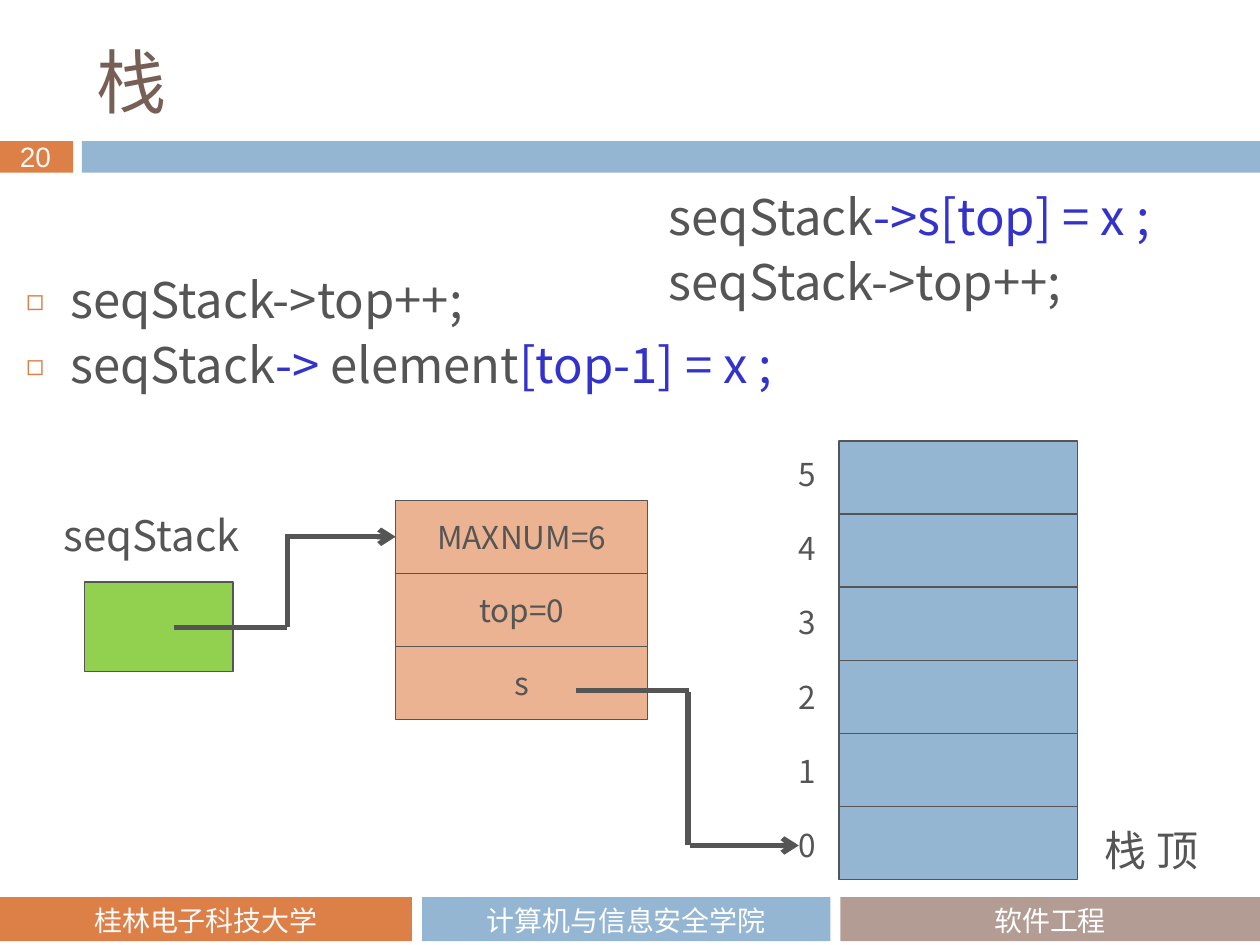
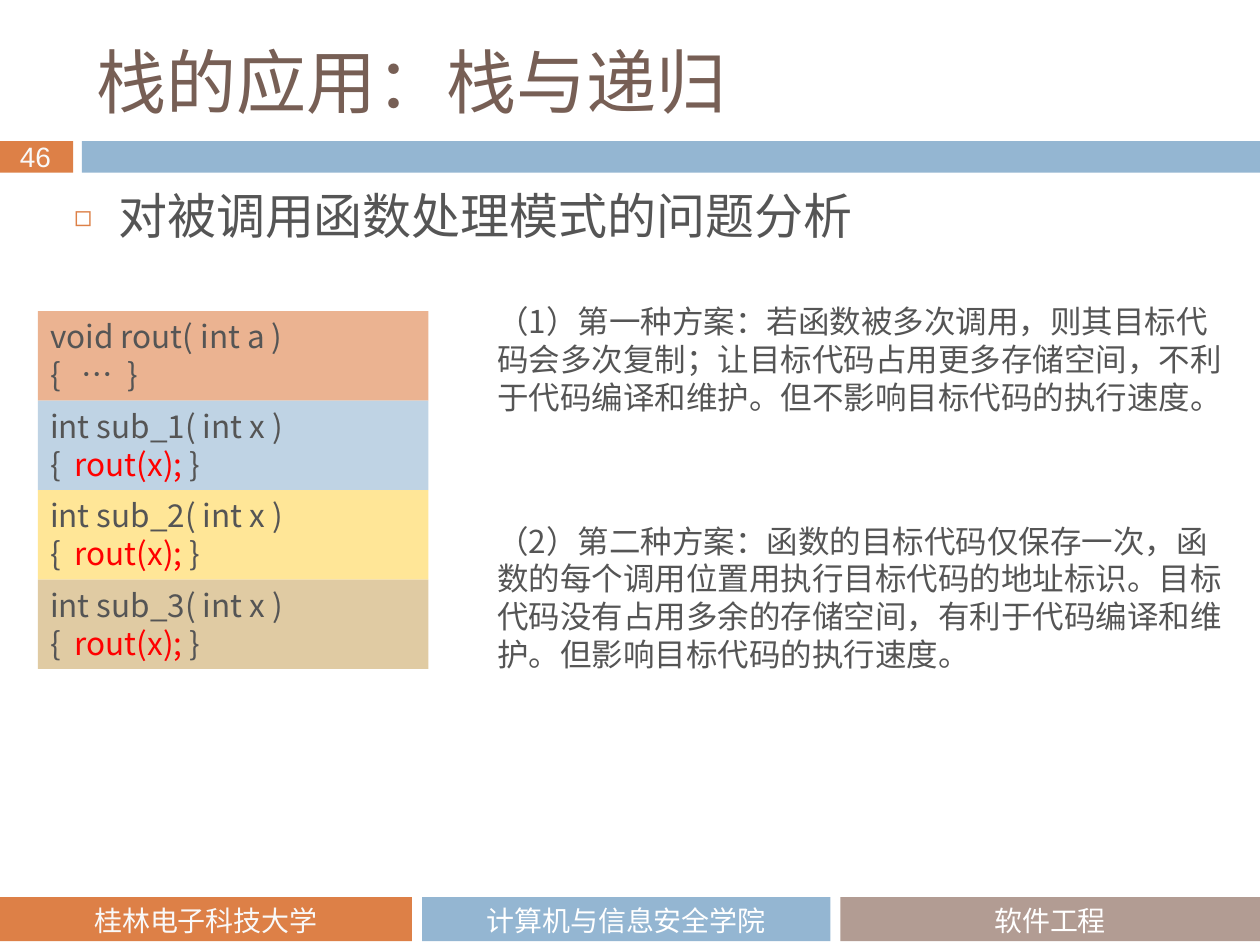
from dataclasses import dataclass
from typing import NamedTuple, Optional

from lxml.etree import SubElement
from pptx import Presentation
from pptx.dml.color import RGBColor
from pptx.enum.shapes import MSO_CONNECTOR, MSO_SHAPE
from pptx.enum.text import MSO_ANCHOR, PP_ALIGN
from pptx.oxml.ns import qn
from pptx.util import Inches, Pt

ORANGE = RGBColor(0xDD, 0x80, 0x47)
BLUE = RGBColor(0x94, 0xB6, 0xD2)
TAUPE = RGBColor(0xB2, 0x9C, 0x93)
BROWN = RGBColor(0x77, 0x5F, 0x55)
GRAY = RGBColor(0x55, 0x55, 0x55)
WHITE = RGBColor(0xFF, 0xFF, 0xFF)
OFF_WHITE = RGBColor(0xF9, 0xF9, 0xF9)
PEACH = RGBColor(0xEB, 0xB3, 0x91)
GREEN = RGBColor(0x92, 0xD0, 0x50)
PALE_BLUE = RGBColor(0xBF, 0xD3, 0xE4)
YELLOW = RGBColor(0xFF, 0xE6, 0x97)
SAND = RGBColor(0xE0, 0xCB, 0xA3)
CODE_BLUE = RGBColor(0x33, 0x33, 0xCC)
RED = RGBColor(0xFF, 0x00, 0x00)

BODY_FONT = "Noto Sans CJK SC"
TITLE_FONT = "Noto Sans CJK JP"


class Area(NamedTuple):
    left: float
    top: float
    width: float
    height: float

    def lengths(self) -> list:
        return [Inches(value) for value in self]


class Span(NamedTuple):
    text: str
    color: RGBColor = GRAY


@dataclass(frozen=True)
class Style:
    size: float = 18
    font: str = BODY_FONT
    line_points: Optional[float] = None
    space_before: float = 0
    align: PP_ALIGN = PP_ALIGN.LEFT
    anchor: MSO_ANCHOR = MSO_ANCHOR.TOP
    bullet: bool = False


class FooterBand(NamedTuple):
    left: float
    width: float
    fill: RGBColor
    text: Span


class Segment(NamedTuple):
    start: tuple
    end: tuple
    arrow: bool = False


class CodeBlock(NamedTuple):
    fill: RGBColor
    lines: list


PLAIN = Style()
CELL = Style(align=PP_ALIGN.CENTER, anchor=MSO_ANCHOR.MIDDLE)
TITLE = Style(size=40, font=TITLE_FONT, anchor=MSO_ANCHOR.MIDDLE)
FOOTER = Style(size=16, font="Calibri", align=PP_ALIGN.CENTER)
PAGE_NUMBER = Style(size=16, font="Arial")
CAPTION = Style(size=24, line_points=30, space_before=7)
STATEMENT = Style(size=28, line_points=30, space_before=7)
BULLET = Style(size=28, line_points=30, space_before=7, bullet=True)

FOOTER_BANDS = [
    FooterBand(0, 3.27, ORANGE, Span("桂林电子科技大学", OFF_WHITE)),
    FooterBand(3.35, 3.24, BLUE, Span("计算机与信息安全学院", WHITE)),
    FooterBand(6.67, 3.33, TAUPE, Span("软件工程", WHITE)),
]


def add_bullet(paragraph) -> None:
    properties = paragraph._p.get_or_add_pPr()
    properties.set("marL", str(Inches(0.35)))
    properties.set("indent", str(-Inches(0.35)))
    color = SubElement(properties, qn("a:buClr"))
    SubElement(color, qn("a:srgbClr")).set("val", str(ORANGE))
    SubElement(properties, qn("a:buSzPct")).set("val", "60000")
    SubElement(properties, qn("a:buFont")).set("typeface", BODY_FONT)
    SubElement(properties, qn("a:buChar")).set("char", "◻")


def write(shape, lines: list, style: Style) -> None:
    """Fill a shape with one paragraph per list of spans."""
    frame = shape.text_frame
    frame.word_wrap = True
    frame.vertical_anchor = style.anchor
    for index, spans in enumerate(lines):
        paragraph = frame.add_paragraph() if index else frame.paragraphs[0]
        if style.bullet:
            add_bullet(paragraph)
        paragraph.alignment = style.align
        paragraph.line_spacing = Pt(style.line_points or style.size * 1.2)
        if index:
            paragraph.space_before = Pt(style.space_before)
        for span in spans:
            run = paragraph.add_run()
            run.text = span.text
            run.font.size = Pt(style.size)
            run.font.name = style.font
            run.font.color.rgb = span.color
            if style.font in (BODY_FONT, TITLE_FONT):
                east_asian = SubElement(run._r.get_or_add_rPr(), qn("a:ea"))
                east_asian.set("typeface", style.font)


def add_text(slide, area: Area, lines: list, style: Style = PLAIN):
    box = slide.shapes.add_textbox(*area.lengths())
    write(box, lines, style)
    return box


def add_rectangle(slide, area: Area, fill: RGBColor, outlined: bool = False):
    shape = slide.shapes.add_shape(MSO_SHAPE.RECTANGLE, *area.lengths())
    shape.shadow.inherit = False
    shape.fill.solid()
    shape.fill.fore_color.rgb = fill
    if outlined:
        shape.line.color.rgb = GRAY
        shape.line.width = Pt(0.75)
    else:
        shape.line.fill.background()
    return shape


def add_segment(slide, segment: Segment):
    ends = [Inches(value) for value in segment.start + segment.end]
    connector = slide.shapes.add_connector(MSO_CONNECTOR.STRAIGHT, *ends)
    connector.line.color.rgb = GRAY
    connector.line.width = Pt(3)
    if segment.arrow:
        line = connector.line._get_or_add_ln()
        SubElement(line, qn("a:tailEnd")).set("type", "arrow")
    SubElement(connector._element.spPr, qn("a:effectLst"))
    return connector


def add_base_slide(presentation, title: str, number: int):
    """Title, header bands, page number and footer shared by the slides."""
    slide = presentation.slides.add_slide(presentation.slide_layouts[6])
    add_rectangle(slide, Area(0, 1.12, 0.58, 0.25), ORANGE)
    add_rectangle(slide, Area(0.65, 1.12, 9.35, 0.25), BLUE)
    for band in FOOTER_BANDS:
        add_rectangle(slide, Area(band.left, 7.12, band.width, 0.35), band.fill)
        add_text(slide, Area(band.left, 7.12, band.width, 0.32), [[band.text]], FOOTER)
    add_text(slide, Area(0.06, 1.06, 0.48, 0.37),
             [[Span(str(number), OFF_WHITE)]], PAGE_NUMBER)
    add_text(slide, Area(0.67, 0.25, 8.92, 0.78), [[Span(title, BROWN)]], TITLE)
    return slide


def build_stack_slide(presentation) -> None:
    slide = add_base_slide(presentation, "栈", 20)
    cell_height = 0.58

    # Stack storage, highest index on top
    for row in range(6):
        add_rectangle(slide, Area(6.66, 3.5 + row * cell_height, 1.89, cell_height),
                      BLUE, outlined=True)
        add_text(slide, Area(6.24, 3.56 + row * 0.59, 0.36, 0.4), [[Span(str(5 - row))]])
    add_text(slide, Area(8.67, 6.48, 1.24, 0.52), [[Span("栈 顶")]], CAPTION)

    # Fields of the stack structure
    fields = []
    for row, field in enumerate(["MAXNUM=6", "top=0", "s"]):
        area = Area(3.14, 3.97 + row * cell_height, 2, cell_height)
        shape = add_rectangle(slide, area, PEACH, outlined=True)
        write(shape, [[Span(field)]], CELL)
        fields.append(shape)

    # Pointer variable
    add_rectangle(slide, Area(0.67, 4.62, 1.18, 0.71), GREEN, outlined=True)
    add_text(slide, Area(0.41, 3.98, 1.7, 0.52), [[Span("seqStack")]], CAPTION)

    # Bent arrows: pointer to structure, field s to cell 0
    pointer_path = [
        Segment((1.38, 4.98), (2.28, 4.98)),
        Segment((2.28, 4.98), (2.28, 4.24)),
        Segment((2.28, 4.26), (3.14, 4.26), arrow=True),
    ]
    storage_path = [
        Segment((4.57, 5.48), (5.47, 5.48)),
        Segment((5.46, 6.71), (5.46, 5.49)),
        Segment((5.48, 6.71), (6.34, 6.71), arrow=True),
    ]
    pointer_lines = [add_segment(slide, segment) for segment in pointer_path]
    pointer_lines[-1].end_connect(fields[0], 1)
    for segment in storage_path:
        add_segment(slide, segment)

    # Two equivalent ways to push
    add_text(slide, Area(0.11, 2.14, 6.62, 1.17), [
        [Span("seqStack->top++;")],
        [Span("seqStack"), Span("->", CODE_BLUE), Span(" element"),
         Span("[top-1] = x ;", CODE_BLUE)],
    ], BULLET)
    add_text(slide, Area(5.21, 1.48, 4.41, 1.94), [
        [Span("seqStack"), Span("->s[top] = x ;", CODE_BLUE)],
        [Span("seqStack->top++;")],
    ], STATEMENT)


def build_recursion_slide(presentation) -> None:
    slide = add_base_slide(presentation, "栈的应用：栈与递归", 46)
    add_text(slide, Area(0.49, 1.47, 8.92, 0.65),
             [[Span("对被调用函数处理模式的问题分析")]], BULLET)

    # Called function, then its three callers
    call = [Span("{"), Span("  rout(x); ", RED), Span("}")]
    blocks = [CodeBlock(PEACH, [[Span("void rout( int a )")], [Span("{   …  }")]])]
    for number, fill in enumerate([PALE_BLUE, YELLOW, SAND], start=1):
        blocks.append(CodeBlock(fill, [[Span(f"int sub_{number}( int x )")], call]))
    for row, block in enumerate(blocks):
        shape = add_rectangle(slide, Area(0.3, 2.47 + row * 0.71, 3.1, 0.71), block.fill)
        write(shape, block.lines, PLAIN)

    # The two schemes
    add_text(slide, Area(3.85, 2.35, 5.97, 1.01), [[Span(
        "（1）第一种方案：若函数被多次调用，则其目标代码会多次复制；"
        "让目标代码占用更多存储空间，不利于代码编译和维护。"
        "但不影响目标代码的执行速度。")]])
    add_text(slide, Area(3.85, 4.09, 5.97, 1.31), [[Span(
        "（2）第二种方案：函数的目标代码仅保存一次，"
        "函数的每个调用位置用执行目标代码的地址标识。"
        "目标代码没有占用多余的存储空间，有利于代码编译和维护。"
        "但影响目标代码的执行速度。")]])


def main() -> None:
    presentation = Presentation()
    presentation.slide_width = Inches(10)
    presentation.slide_height = Inches(7.5)
    build_stack_slide(presentation)
    build_recursion_slide(presentation)
    presentation.save("out.pptx")


if __name__ == "__main__":
    main()
